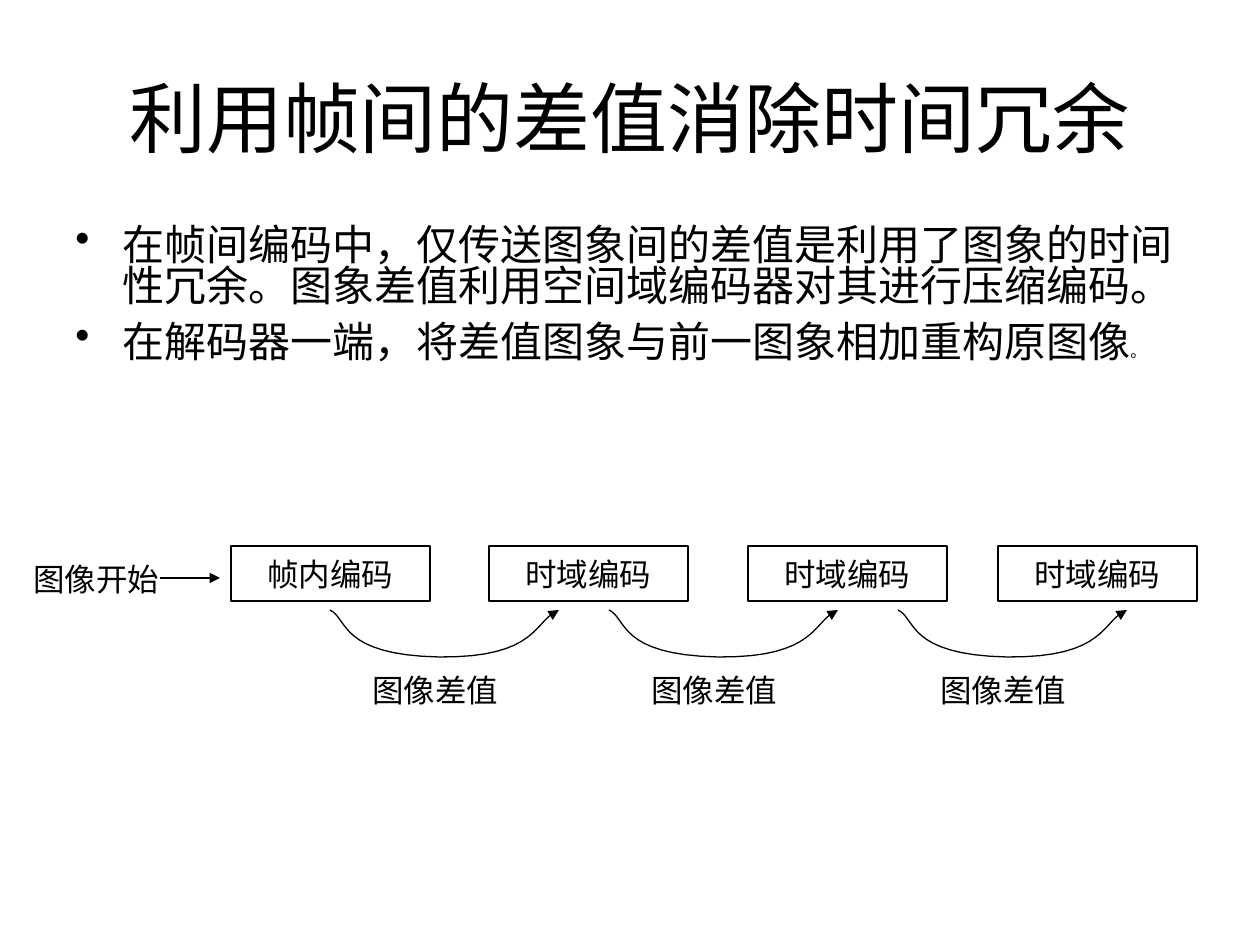
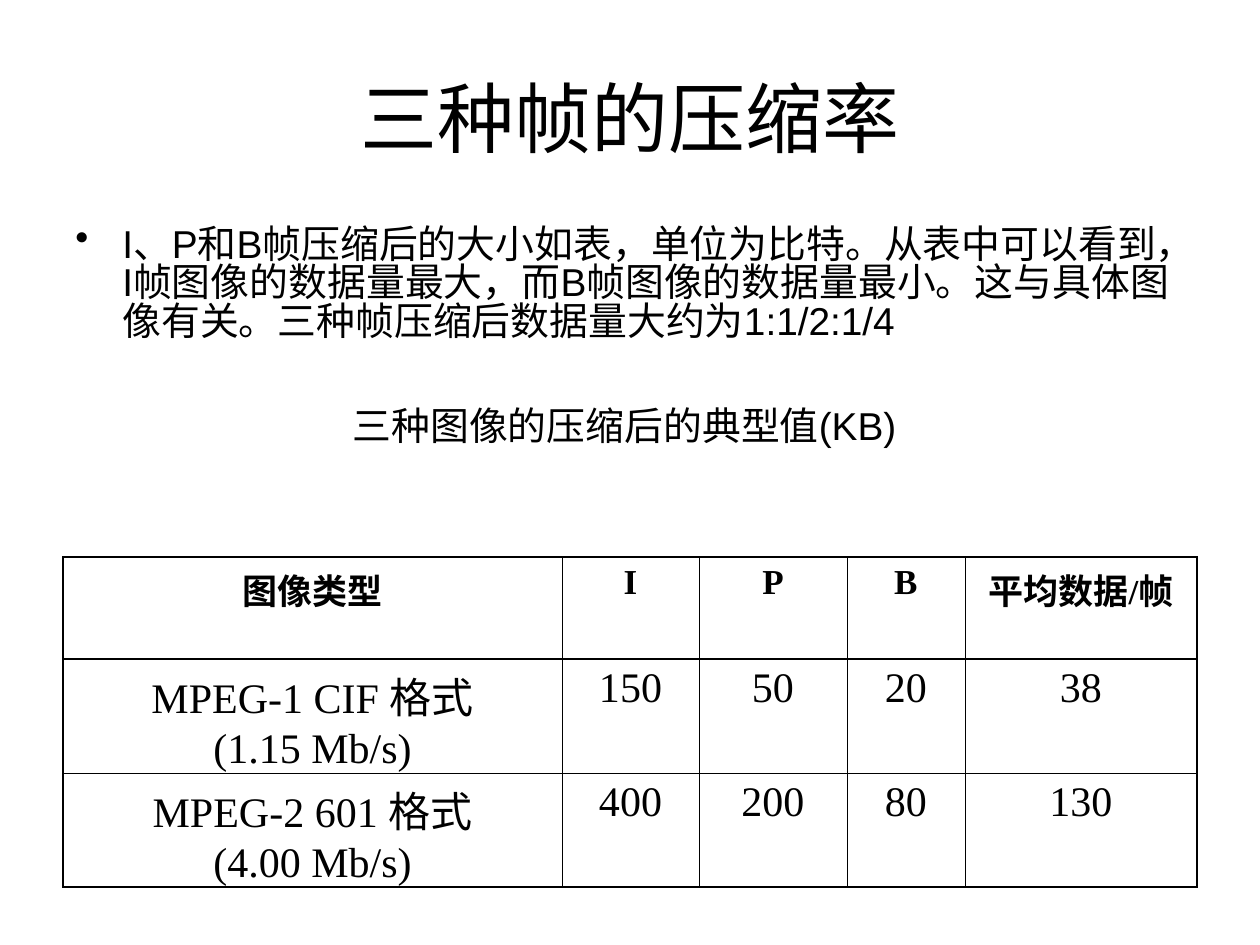
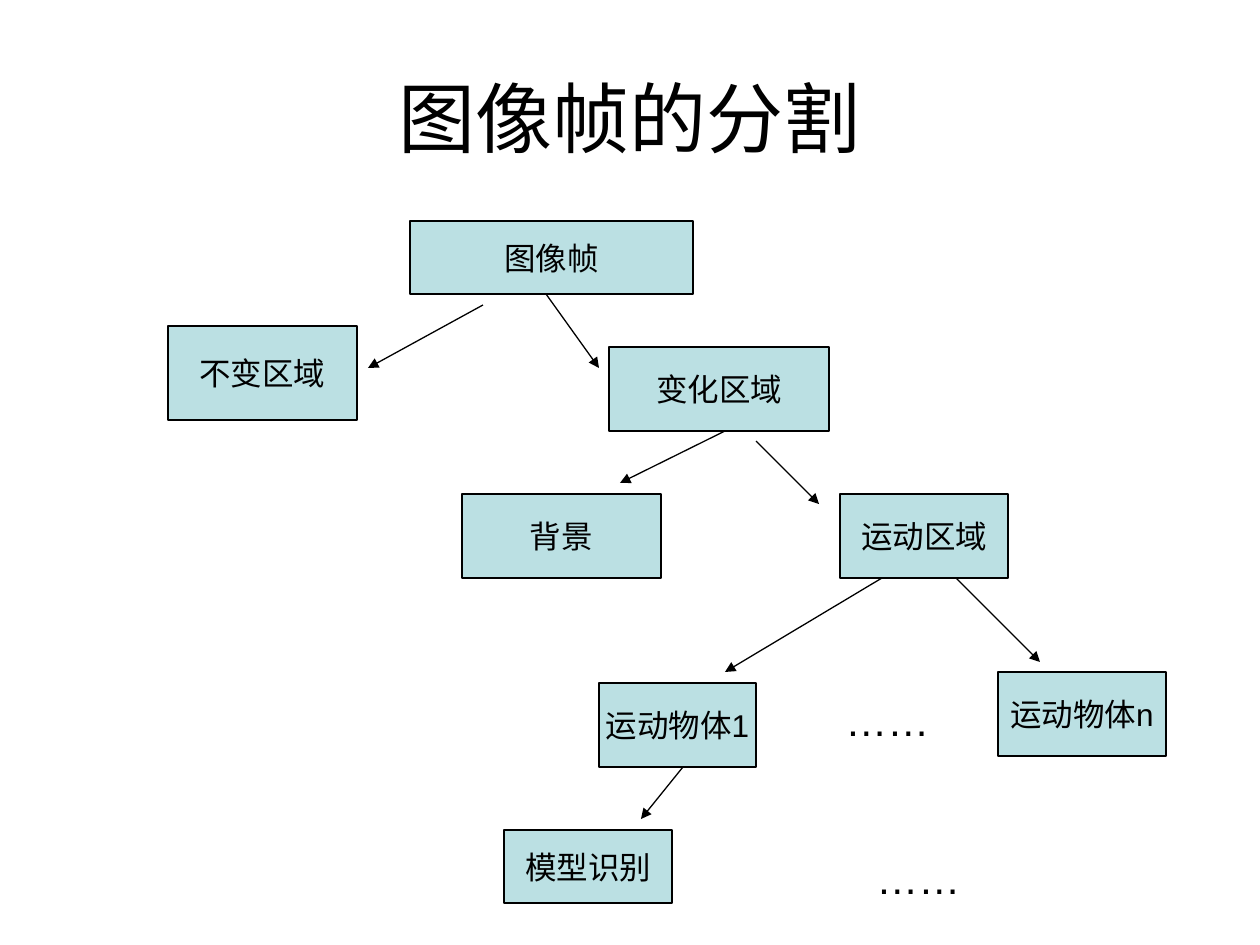
"""Build three slides on inter-frame video coding."""
from lxml.etree import SubElement
from pptx import Presentation
from pptx.dml.color import RGBColor
from pptx.enum.shapes import MSO_CONNECTOR as Connector, MSO_SHAPE as Preset
from pptx.enum.text import MSO_ANCHOR as Anchor, PP_ALIGN as Align
from pptx.oxml import parse_xml
from pptx.oxml.ns import nsdecls, qn
from pptx.util import Pt

SCALE = 914400 / 126
BLACK = RGBColor(0x00, 0x00, 0x00)
PALE_TEAL = RGBColor(0xBB, 0xE0, 0xE3)
SANS, SERIF = "Arial", "Times New Roman"
LINE_WIDTH = 0.75
THICK, THIN = 0.96, 0.45
BULLET_INDENT = 47

DIFFERENCE_TITLE = "利用帧间的差值消除时间冗余"
DIFFERENCE_POINTS = [
    "在帧间编码中，仅传送图象间的差值是利用了图象的时间性冗余。图象差值利用空间域编码器对其进行压缩编码。",
    "在解码器一端，将差值图象与前一图象相加重构原图像",
]
SMALL_STOP = "。"
CODING_STEPS = [(231, "帧内编码"), (489, "时域编码"), (748, "时域编码"), (998, "时域编码")]
START_LABEL = "图像开始"
START_ARROW = (160, 578, 220, 578)
DIFFERENCE_LABEL = "图像差值"
CURVE_STARTS = [330, 609, 898]
CURVE_TOP = 610
CURVE_PARTS = [
    ((0, 0), (18, 8), (9, 45), (109, 47)),
    ((109, 47), (209, 48), (204, 10), (229, 0)),
]
CURVE_STEPS = 16

RATE_TITLE = "三种帧的压缩率"
RATE_POINT = (
    "I、P和B帧压缩后的大小如表，单位为比特。从表中可以看到，I帧图像的数据量最大，"
    "而B帧图像的数据量最小。这与具体图像有关。三种帧压缩后数据量大约为1:1/2:1/4"
)
RATE_CAPTION = "三种图像的压缩后的典型值(KB) "
RATE_ROWS = [
    ["图像类型", "I", "P", "B", "平均数据/帧"],
    ["MPEG-1 CIF 格式\n(1.15 Mb/s)", "150", "50", "20", "38"],
    ["MPEG-2 601 格式\n(4.00 Mb/s)", "400", "200", "80", "130"],
]
COLUMN_WIDTHS = [499, 137, 148, 118, 232]
ROW_HEIGHTS = [102, 114, 114]

TREE_TITLE = "图像帧的分割"
TREE_NODES = [
    ("图像帧", 410, 221, 283, 73),
    ("不变区域", 168, 326, 189, 94),
    ("变化区域", 609, 347, 220, 84),
    ("背景", 462, 494, 199, 84),
    ("运动区域", 840, 494, 168, 84),
    ("运动物体1", 599, 683, 157, 84),
    ("运动物体n", 998, 672, 168, 84),
    ("模型识别", 504, 830, 168, 73),
]
TREE_ARROWS = [
    (483, 305, 368, 368),
    (546, 294, 599, 368),
    (725, 431, 620, 483),
    (756, 441, 819, 504),
    (882, 578, 725, 672),
    (956, 578, 1040, 662),
    (683, 767, 641, 819),
]
ELLIPSES = [(819, 851), (788, 693)]


def px(*lengths):
    return [round(length * SCALE) for length in lengths]


def style(para, size, font=SANS, bold=False, align=Align.LEFT):
    para.alignment = align
    para.font.name = font
    para.font.size = Pt(size)
    para.font.bold = bold
    para.font.color.rgb = BLACK


def add_text(page, text, place, size, align=Align.LEFT, anchor=Anchor.TOP, wrap=True):
    box = page.shapes.add_textbox(*px(*place))
    frame = box.text_frame
    frame.word_wrap = wrap
    frame.vertical_anchor = anchor
    frame.text = text
    for para in frame.paragraphs:
        style(para, size, align=align)
    return frame


def add_page(deck, title):
    page = deck.slides.add_slide(deck.slide_layouts[6])
    add_text(page, title, (63, 38, 1134, 157), 44, Align.CENTER, Anchor.MIDDLE)
    return page


def add_bullet(para):
    props = para._p.get_or_add_pPr()
    indent, = px(BULLET_INDENT)
    props.set("marL", str(indent))
    props.set("indent", str(-indent))
    SubElement(props, qn("a:buChar")).set("char", "•")


def add_node(page, text, place, fill=None):
    node = page.shapes.add_shape(Preset.RECTANGLE, *px(*place))
    node.shadow.inherit = False
    if fill is None:
        node.fill.background()
    else:
        node.fill.solid()
        node.fill.fore_color.rgb = fill
    node.line.color.rgb = BLACK
    node.line.width = Pt(LINE_WIDTH)
    frame = node.text_frame
    frame.word_wrap = False
    frame.vertical_anchor = Anchor.MIDDLE
    frame.text = text
    style(frame.paragraphs[0], 18, align=Align.CENTER)


def finish_arrow(line):
    line.color.rgb = BLACK
    line.width = Pt(LINE_WIDTH)
    SubElement(line._get_or_add_ln(), qn("a:tailEnd")).set("type", "triangle")


def add_arrow(page, ends):
    arrow = page.shapes.add_connector(Connector.STRAIGHT, *px(*ends))
    finish_arrow(arrow.line)
    SubElement(arrow._element.spPr, qn("a:effectLst"))


def bezier(points, t):
    weights = ((1 - t) ** 3, 3 * t * (1 - t) ** 2, 3 * t * t * (1 - t), t ** 3)
    return [sum(w * point[axis] for w, point in zip(weights, points)) for axis in (0, 1)]


def add_curve(page, left, top):
    steps = [bezier(part, step / CURVE_STEPS)
             for part in CURVE_PARTS for step in range(1, CURVE_STEPS + 1)]
    builder = page.shapes.build_freeform(*px(left, top))
    builder.add_line_segments([px(left + x, top + y) for x, y in steps], close=False)
    curve = builder.convert_to_shape()
    curve.shadow.inherit = False
    curve.fill.background()
    finish_arrow(curve.line)


def set_borders(cell, widths):
    props = cell._tc.get_or_add_tcPr()
    for index, (side, width) in enumerate(widths.items()):
        props.insert(index, parse_xml(
            f'<a:ln{side} {nsdecls("a")} w="{Pt(width)}"><a:solidFill>'
            f'<a:srgbClr val="{BLACK}"/></a:solidFill></a:ln{side}>'))


def add_rate_table(page):
    place = px(63, 557, sum(COLUMN_WIDTHS), sum(ROW_HEIGHTS))
    table = page.shapes.add_table(len(RATE_ROWS), len(COLUMN_WIDTHS), *place).table
    table.first_row = table.horz_banding = False
    for column, width in zip(table.columns, px(*COLUMN_WIDTHS)):
        column.width = width
    for row, height in zip(table.rows, px(*ROW_HEIGHTS)):
        row.height = height
    last_row, last_column = len(RATE_ROWS) - 1, len(COLUMN_WIDTHS) - 1
    for r, texts in enumerate(RATE_ROWS):
        for c, text in enumerate(texts):
            cell = table.cell(r, c)
            cell.text = text
            cell.fill.background()
            for para in cell.text_frame.paragraphs:
                style(para, 24 if r else 20, SERIF, r == 0, Align.CENTER)
            set_borders(cell, {
                "L": THICK if c == 0 else THIN,
                "R": THICK if c == last_column else THIN,
                "T": THICK if r < 2 else THIN,
                "B": THICK if r in (0, last_row) else THIN,
            })


def build_difference_page(deck):
    page = add_page(deck, DIFFERENCE_TITLE)
    frame = add_text(page, "\n".join(DIFFERENCE_POINTS), (63, 221, 1155, 231), 24)
    for para, space in zip(frame.paragraphs, (6, 2.2)):
        para.line_spacing = 0.82
        para.space_before = para.space_after = Pt(space)
        add_bullet(para)
    stop = frame.paragraphs[-1].add_run()
    stop.text = SMALL_STOP
    stop.font.size = Pt(9)
    for left, text in CODING_STEPS:
        add_node(page, text, (left, 546, 199, 55))
    for left in CURVE_STARTS:
        add_curve(page, left, CURVE_TOP)
        add_text(page, DIFFERENCE_LABEL, (left + 30, 665, 170, 50), 18)
    add_text(page, START_LABEL, (21, 554, 160, 50), 18)
    add_arrow(page, START_ARROW)


def build_rate_page(deck):
    page = add_page(deck, RATE_TITLE)
    frame = add_text(page, f"{RATE_POINT}\n{RATE_CAPTION}", (63, 221, 1134, 305), 22.2)
    point, caption = frame.paragraphs
    point.line_spacing = caption.line_spacing = 0.83
    add_bullet(point)
    caption.alignment = Align.CENTER
    caption.space_before = Pt(38)
    add_rate_table(page)


def build_tree_page(deck):
    page = add_page(deck, TREE_TITLE)
    for text, *place in TREE_NODES:
        add_node(page, text, place, PALE_TEAL)
    for ends in TREE_ARROWS:
        add_arrow(page, ends)
    for left, top in ELLIPSES:
        add_text(page, "……", (left, top, 199, 53), 24, Align.CENTER, Anchor.MIDDLE, False)


def main():
    deck = Presentation()
    deck.slide_width, deck.slide_height = px(1260, 945)
    build_difference_page(deck)
    build_rate_page(deck)
    build_tree_page(deck)
    deck.save("out.pptx")


if __name__ == "__main__":
    main()
